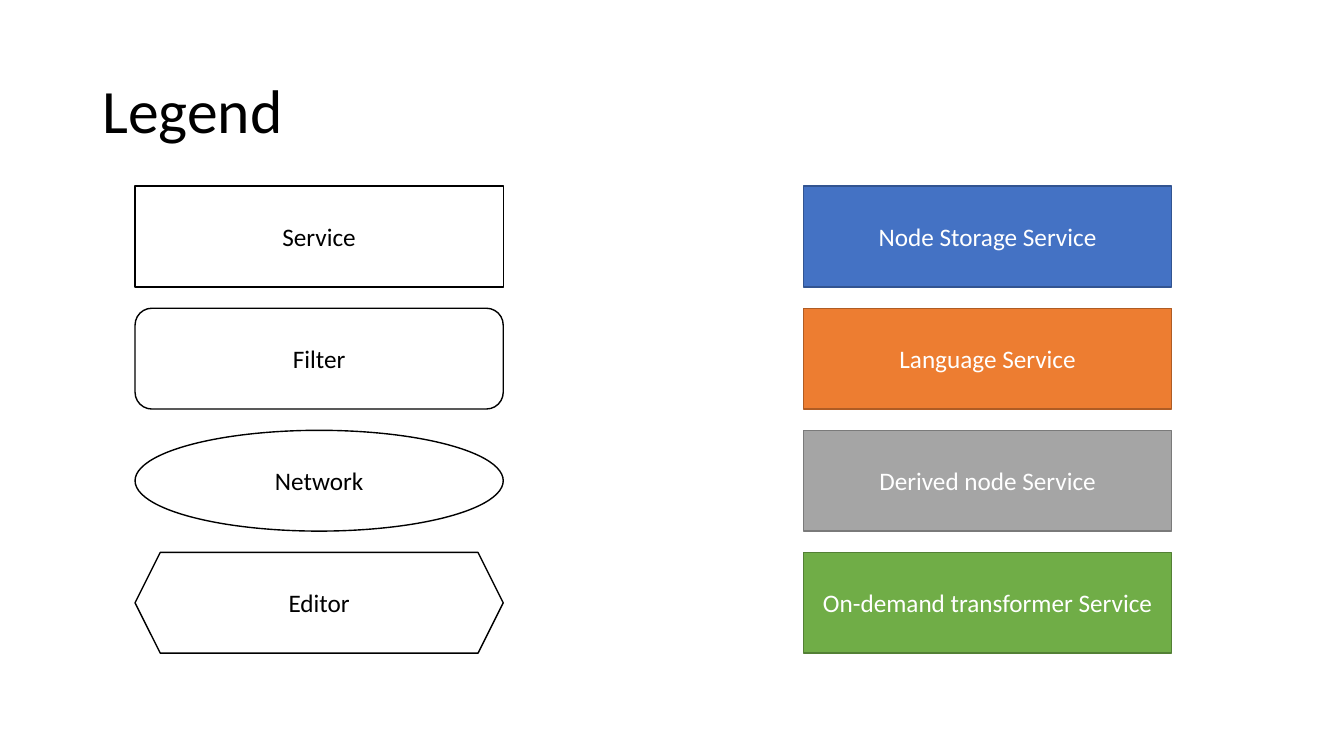
from pptx import Presentation
from pptx.dml.color import RGBColor
from pptx.enum.shapes import MSO_SHAPE
from pptx.enum.text import MSO_ANCHOR, PP_ALIGN
from pptx.util import Pt

COLORS = {
    "black": "000000", "white": "FFFFFF",
    "blue": "4472C4", "blue_line": "325491",
    "orange": "ED7D31", "orange_line": "AF5C24",
    "gray": "A5A5A5", "gray_line": "7A7A7A",
    "green": "70AD47", "green_line": "538035",
}


def rgb(name):
    return RGBColor.from_string(COLORS[name])


class Deck:
    font = "Calibri"

    def __init__(self, prs):
        self.s = prs.slides.add_slide(prs.slide_layouts[6])

    def label(self, sp, text, size, color, align, spacing=1.0):
        tf = sp.text_frame
        p = tf.paragraphs[0]
        r = p.add_run()
        r.text = text
        r.font.color.rgb = rgb(color)
        formats = (
            (tf, {"word_wrap": True, "vertical_anchor": MSO_ANCHOR.MIDDLE}),
            (p, {"alignment": align, "line_spacing": spacing}),
            (r.font, {"name": self.font, "size": Pt(size)}),
        )
        for target, values in formats:
            for key, value in values.items():
                setattr(target, key, value)

    def title(self, text, x, y, w, h):
        sp = self.s.shapes.add_textbox(Pt(x), Pt(y), Pt(w), Pt(h))
        self.label(sp, text, 44, "black", PP_ALIGN.LEFT, 0.9)

    def shape(self, kind, text, x, y, w, h, fill, line, color):
        sp = self.s.shapes.add_shape(kind, Pt(x), Pt(y), Pt(w), Pt(h))
        sp.shadow.inherit = False
        sp.fill.solid()
        sp.fill.fore_color.rgb = rgb(fill)
        sp.line.color.rgb = rgb(line)
        sp.line.width = Pt(1)
        self.label(sp, text, 18, color, PP_ALIGN.CENTER)


prs = Presentation()
prs.slide_width, prs.slide_height = Pt(960), Pt(540)
deck = Deck(prs)
deck.title("Legend", 66, 28.75, 828, 104.4)

# Legend grid
TOP, PITCH, WIDTH, HEIGHT = 133, 87.2, 263, 72
SHAPES_X, COLORS_X = 96.5, 574

# Meaning of the colours
services = [
    ("Node Storage Service", "blue"),
    ("Language Service", "orange"),
    ("Derived node Service", "gray"),
    ("On-demand transformer Service", "green"),
]
for row, (text, fill) in enumerate(services):
    deck.shape(MSO_SHAPE.RECTANGLE, text, COLORS_X, TOP + row * PITCH,
               WIDTH, HEIGHT, fill, fill + "_line", "white")

# Meaning of the outlines
outlines = [
    ("Service", MSO_SHAPE.RECTANGLE),
    ("Filter", MSO_SHAPE.ROUNDED_RECTANGLE),
    ("Network", MSO_SHAPE.OVAL),
    ("Editor", MSO_SHAPE.HEXAGON),
]
for row, (text, kind) in enumerate(outlines):
    deck.shape(kind, text, SHAPES_X, TOP + row * PITCH,
               WIDTH, HEIGHT, "white", "black", "black")

prs.save("out.pptx")
